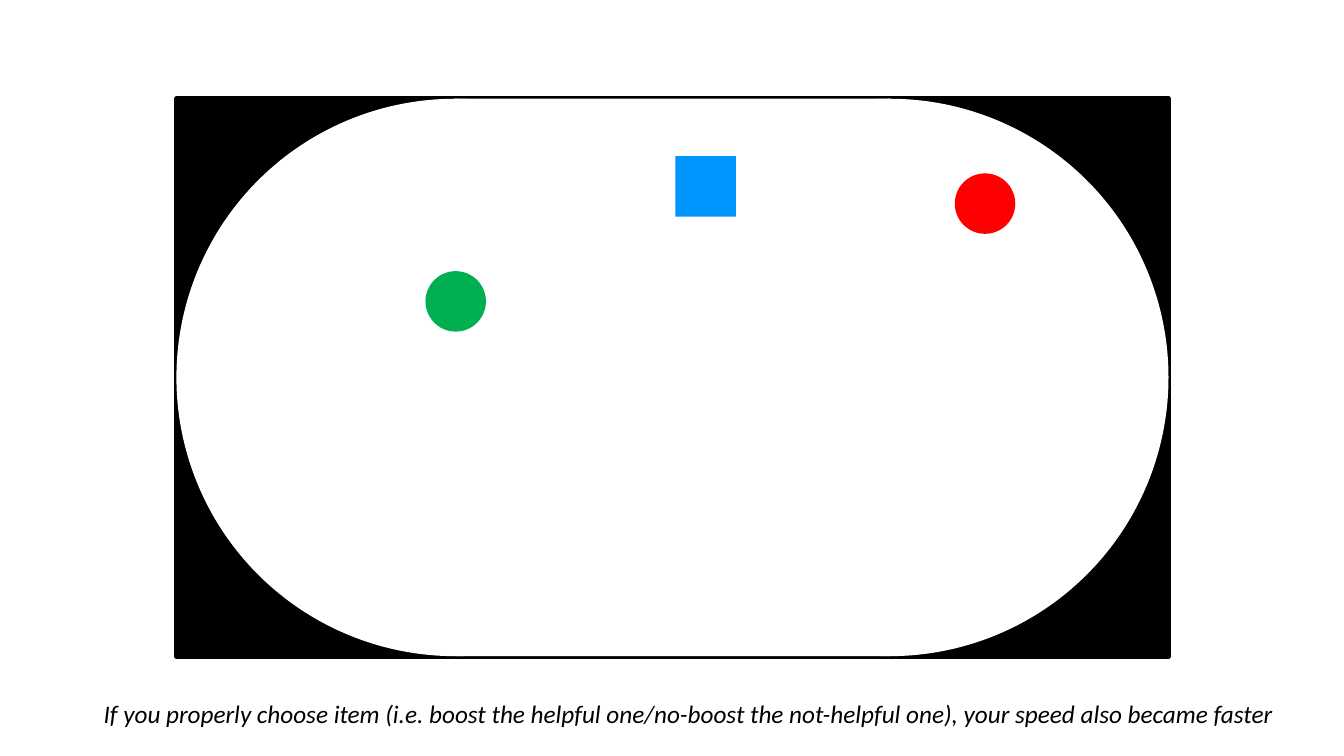
from dataclasses import dataclass

import pptx
import pptx.dml.color
import pptx.enum.shapes
import pptx.enum.text
import pptx.util

Inches = pptx.util.Inches
Pt = pptx.util.Pt
KIND = pptx.enum.shapes.MSO_SHAPE


@dataclass(frozen=True)
class Theme:
    ink: str = "000000"
    floor: str = "FFFFFF"
    red: str = "FF0000"
    blue: str = "0096FF"
    green: str = "00B050"
    font: str = "Calibri"
    size: int = 18
    edge: int = 4


THEME = Theme()


def tint(code):
    return pptx.dml.color.RGBColor.from_string(code)


def draw(shapes, kind, box, color):
    """Add a plain filled shape without an outline; box is in inches."""
    shape = shapes.add_shape(kind, *map(Inches, box))
    shape.shadow.inherit = False
    shape.fill.solid()
    shape.fill.fore_color.rgb = tint(color)
    shape.line.fill.background()
    return shape


def add_arena(slide, left, top, width, height):
    """Draw a black frame around a white stadium as one group."""
    parts = slide.shapes.add_group_shape().shapes
    frame = draw(parts, KIND.RECTANGLE, (left, top, width, height), THEME.ink)
    frame.line.color.rgb = tint(THEME.ink)
    frame.line.width = Pt(THEME.edge)
    for x in (left, left + width - height):
        draw(parts, KIND.OVAL, (x, top, height, height), THEME.floor)
    middle = (left + height / 2, top, width - height, height)
    draw(parts, KIND.RECTANGLE, middle, THEME.floor)


def add_items(slide, left, top, size):
    """Place the items at offsets from the arena's corner."""
    items = (
        (KIND.OVAL, 7.72, 0.74, THEME.red),
        (KIND.RECTANGLE, 4.95, 0.57, THEME.blue),
        (KIND.OVAL, 2.47, 1.71, THEME.green),
    )
    for kind, x, y, color in items:
        draw(slide.shapes, kind, (left + x, top + y, size, size), color)


def add_note(slide, left, top, width, height, text):
    note = slide.shapes.add_textbox(*map(Inches, (left, top, width, height)))
    frame = note.text_frame
    frame.word_wrap = False
    frame.auto_size = pptx.enum.text.MSO_AUTO_SIZE.SHAPE_TO_FIT_TEXT
    line = frame.paragraphs[0]
    line.text = text
    line.font.name = THEME.font
    line.font.size = Pt(THEME.size)
    line.font.italic = True
    line.font.color.rgb = tint(THEME.ink)


def main():
    deck = pptx.Presentation()
    deck.slide_width = Inches(13.33)
    deck.slide_height = Inches(7.5)
    slide = deck.slides.add_slide(deck.slide_layouts[6])
    left, top = 1.75, 0.98
    add_arena(slide, left, top, 9.84, 5.53)
    add_items(slide, left, top, 0.6)
    add_note(
        slide, 0.93, 6.88, 11.94, 0.4,
        "If you properly choose item (i.e. boost the helpful one/no-boost "
        "the not-helpful one), your speed also became faster",
    )
    deck.save("out.pptx")


if __name__ == "__main__":
    main()
